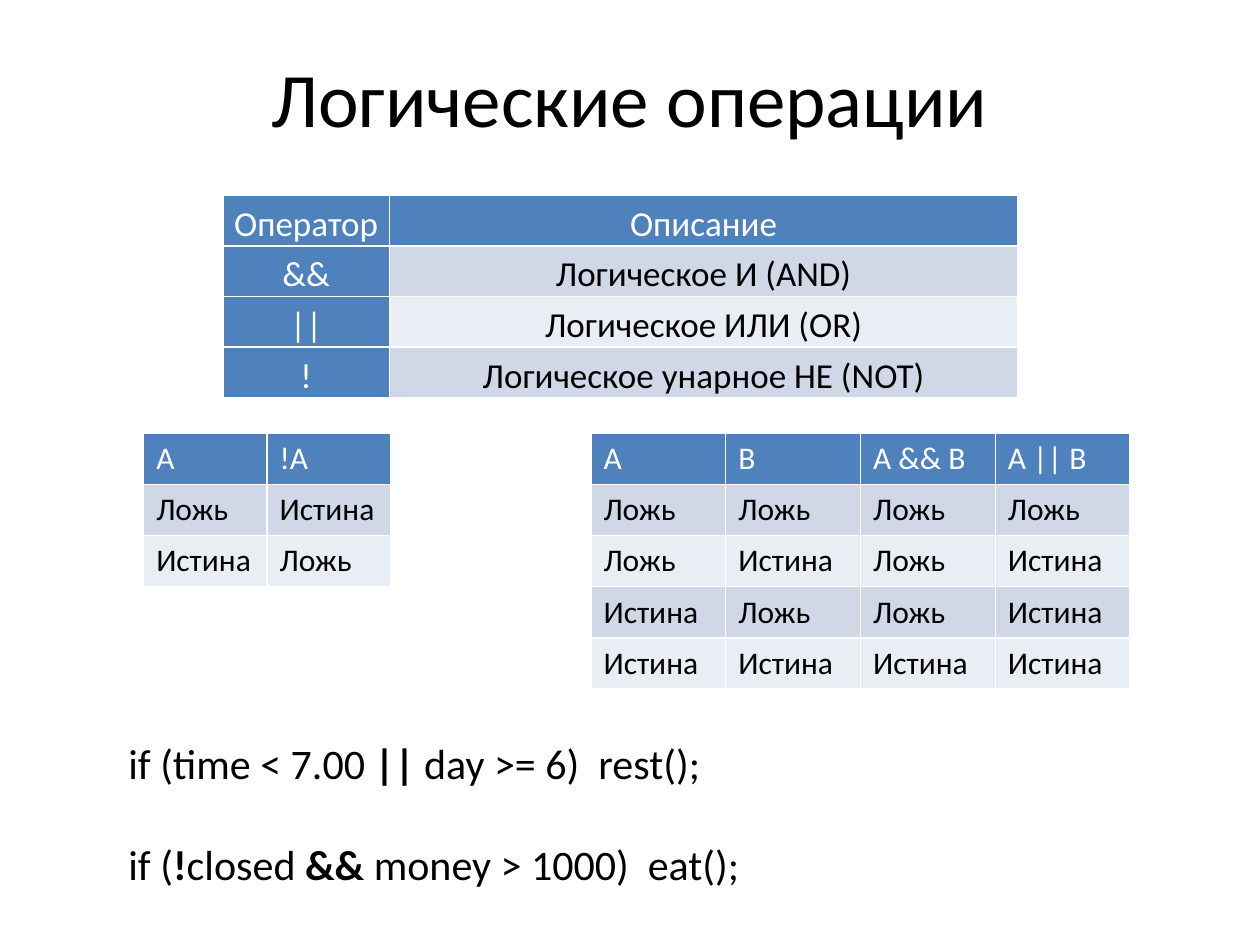
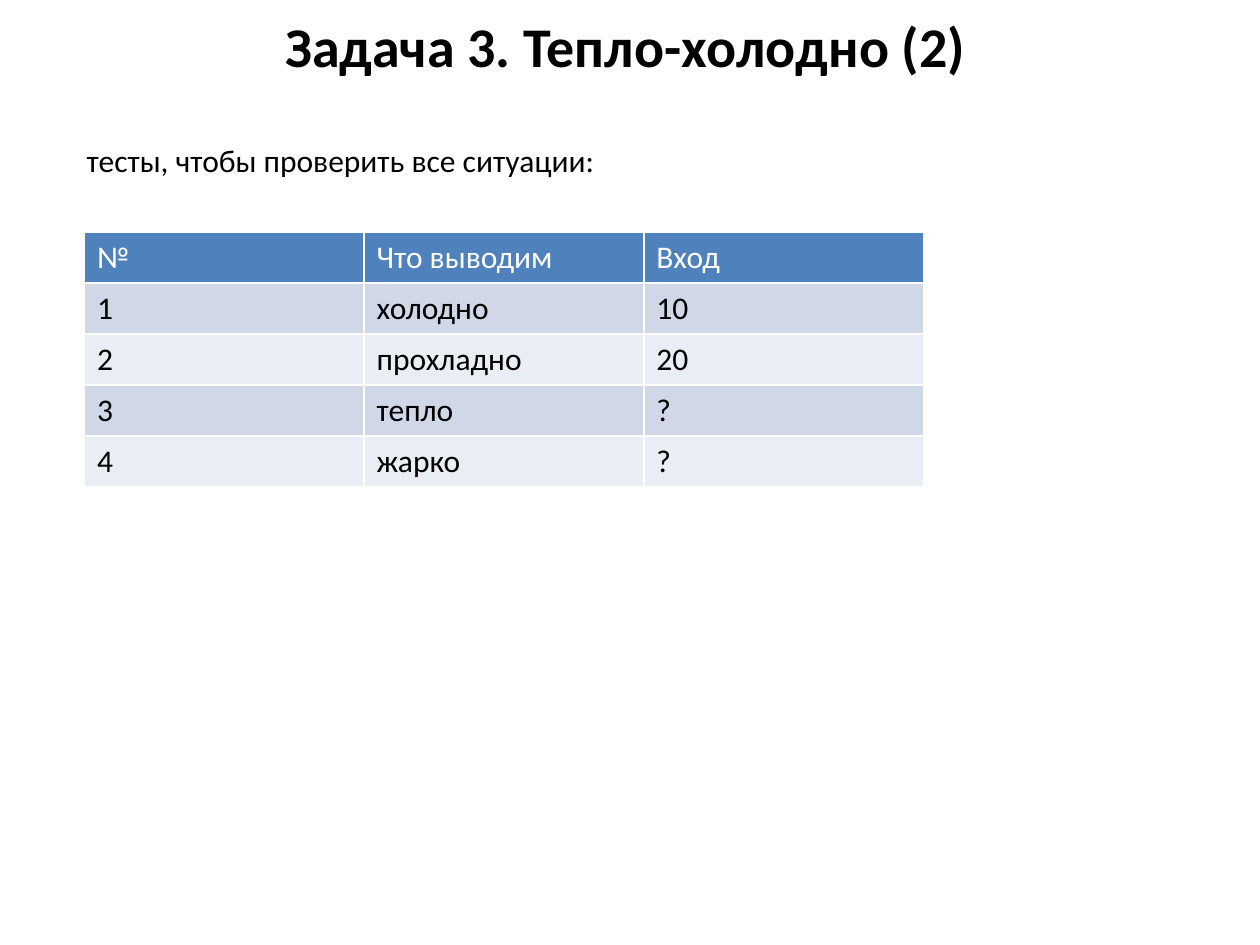
from pptx import Presentation
from pptx.dml.color import RGBColor
from pptx.enum.text import MSO_ANCHOR as Anchor, MSO_AUTO_SIZE as Fit, PP_ALIGN as Align
from pptx.oxml.ns import qn
from pptx.util import Inches, Pt
from lxml.etree import SubElement as Sub

FONT = "Calibri"
BLACK, WHITE, HEAD = "000000", "FFFFFF", "4F81BD"
BANDS = ["D0D8E8", "E9EDF4"]
NO, YES = "Ложь", "Истина"


def rgb(code):
    return RGBColor.from_string(code)


def add_run(para, text, size, color=BLACK, bold=False):
    run = para.add_run()
    run.text = text
    run.font.name = FONT
    run.font.size = Pt(size)
    run.font.bold = bold
    run.font.color.rgb = rgb(color)


def place(shape, left, top, width, height):
    shape.left, shape.top = Inches(left), Inches(top)
    shape.width, shape.height = Inches(width), Inches(height)


def add_slide(deck, title, box, size, bold=False):
    slide = deck.slides.add_slide(deck.slide_layouts[5])
    place(slide.shapes.title, *box)
    frame = slide.shapes.title.text_frame
    frame.auto_size = Fit.NONE
    frame.vertical_anchor = Anchor.MIDDLE
    para = frame.paragraphs[0]
    para.alignment = Align.CENTER
    add_run(para, title, size, bold=bold)
    return slide


def add_text(slide, box, lines, size, gap=0):
    """Each line is a list of (text, bold) pairs; gap is the space between lines."""
    frame = slide.shapes.add_textbox(*map(Inches, box)).text_frame
    frame.word_wrap = True
    for i, line in enumerate(lines):
        para = frame.add_paragraph() if i else frame.paragraphs[0]
        para.space_before = Pt(gap if i else 0)
        for text, bold in line:
            add_run(para, text, size, bold=bold)


def add_rules(cell):
    """Draw thin white lines around a cell."""
    props = cell._tc.get_or_add_tcPr()
    for side in ("lnL", "lnR", "lnT", "lnB"):
        line = Sub(props, qn(f"a:{side}"), w=str(Pt(1)))
        fill = Sub(line, qn("a:solidFill"))
        Sub(fill, qn("a:srgbClr"), val=WHITE)


def center(cell):
    """Set a cell tight, centred and at the bottom."""
    cell.vertical_anchor = Anchor.BOTTOM
    cell.margin_left = cell.margin_right = Inches(0.07)
    cell.margin_top, cell.margin_bottom = Inches(0.01), 0
    para = cell.text_frame.paragraphs[0]
    para.alignment = Align.CENTER
    para.line_spacing = 1.15


def add_table(slide, left, top, widths, rows, high=0.405, size=18, keyed=False):
    """A keyed table has its first column coloured like the header, and centred text."""
    box = (left, top, sum(widths), high * len(rows))
    table = slide.shapes.add_table(len(rows), len(widths), *map(Inches, box)).table
    for col, width in zip(table.columns, widths):
        col.width = Inches(width)
    for r, texts in enumerate(rows):
        table.rows[r].height = Inches(high)
        for c, text in enumerate(texts):
            cell = table.cell(r, c)
            head = r == 0 or (keyed and c == 0)
            add_rules(cell)
            cell.fill.solid()
            cell.fill.fore_color.rgb = rgb(HEAD if head else BANDS[(r - 1) % 2])
            add_run(cell.text_frame.paragraphs[0], text, size, WHITE if head else BLACK)
            if keyed:
                center(cell)


def add_logic(deck):
    slide = add_slide(deck, "Логические операции", (0.5, 0.3, 9, 0.93), 44)
    add_table(slide, 1.77, 1.55, [1.32, 4.99], [
        ("Оператор", "Описание"),
        ("&&", "Логическое И (AND)"),
        ("||", "Логическое ИЛИ (OR)"),
        ("!", "Логическое унарное НЕ (NOT)"),
    ], high=0.4, size=20, keyed=True)
    add_table(slide, 1.14, 3.44, [0.98] * 2, [("A", "!A"), (NO, YES), (YES, NO)])
    add_table(slide, 4.69, 3.44, [1.07] * 4, [
        ("A", "B", "A && B", "A || B"),
        (NO, NO, NO, NO),
        (NO, YES, NO, YES),
        (YES, NO, NO, YES),
        (YES, YES, YES, YES),
    ])
    add_text(slide, (0.92, 5.8, 7.72, 1.31), [
        [("if (time < 7.00 ", False), ("||", True), (" day >= 6)  rest();", False)],
        [("if (", False), ("!", True), ("closed ", False), ("&&", True),
         (" money > 1000)  eat();", False)],
    ], 24, gap=29)


def add_task(deck):
    slide = add_slide(deck, "Задача 3. Тепло-холодно (2)", (0.2, 0.13, 9.53, 0.46), 32, True)
    add_text(slide, (0.59, 1.07, 8.9, 1.62),
             [[("тесты, чтобы проверить все ситуации:", False)]], 18)
    add_table(slide, 0.67, 1.84, [2.22] * 3, [
        ("№", "Что выводим", "Вход"),
        ("1", "холодно", "10"),
        ("2", "прохладно", "20"),
        ("3", "тепло", "?"),
        ("4", "жарко", "?"),
    ])


def main():
    deck = Presentation()
    deck.slide_width, deck.slide_height = Inches(10), Inches(7.5)
    add_logic(deck)
    add_task(deck)
    deck.save("out.pptx")


if __name__ == "__main__":
    main()
